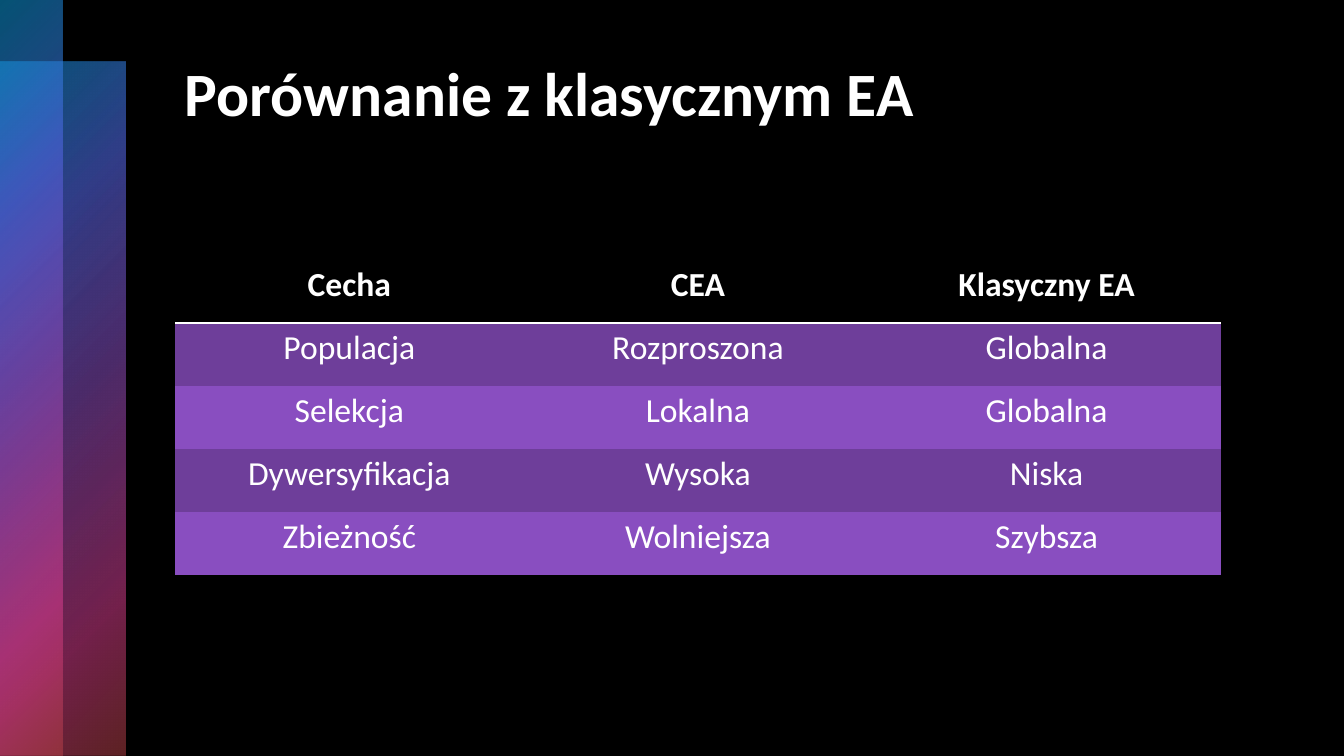
from dataclasses import dataclass

from lxml.etree import SubElement
from pptx import Presentation
from pptx.dml.color import RGBColor
from pptx.enum.shapes import MSO_SHAPE
from pptx.enum.text import MSO_ANCHOR, PP_ALIGN
from pptx.oxml import parse_xml
from pptx.oxml.ns import nsdecls, qn
from pptx.slide import Slide
from pptx.text.text import TextFrame
from pptx.util import Emu, Pt

EMU_PER_PX = 914400 / 100.8
FONT = "Calibri"
WHITE = "FFFFFF"
BLACK = "000000"
DARK_VIOLET = "6E3E9A"
VIOLET = "894EC0"
PLAIN_TABLE_STYLE = "{2D5ABB26-0587-4C30-8999-92F81FD0307C}"

ROWS = [
    ("Cecha", "CEA", "Klasyczny EA"),
    ("Populacja", "Rozproszona", "Globalna"),
    ("Selekcja", "Lokalna", "Globalna"),
    ("Dywersyfikacja", "Wysoka", "Niska"),
    ("Zbieżność", "Wolniejsza", "Szybsza"),
]


@dataclass(frozen=True)
class Box:
    left: int
    top: int
    width: int
    height: int

    def emu(self) -> tuple[Emu, Emu, Emu, Emu]:
        return px(self.left), px(self.top), px(self.width), px(self.height)


@dataclass(frozen=True)
class GradientStop:
    position: int
    color: str
    opacity: int


@dataclass(frozen=True)
class Band:
    box: Box
    middle: int


BANDS = [
    Band(Box(0, 62, 126, 694), middle=50),
    Band(Box(0, 0, 63, 756), middle=49),
]
TITLE_BOX = Box(175, 50, 1045, 171)
TABLE_BOX = Box(175, 260, 1046, 315)


def px(length: int) -> Emu:
    return Emu(round(length * EMU_PER_PX))


def rgb(color: str) -> RGBColor:
    return RGBColor.from_string(color)


def write_text(
    frame: TextFrame,
    text: str,
    *,
    size: int,
    bold: bool = False,
    color: str = WHITE,
    align: PP_ALIGN = PP_ALIGN.LEFT,
) -> None:
    paragraph = frame.paragraphs[0]
    paragraph.alignment = align
    run = paragraph.add_run()
    run.text = text
    run.font.name = FONT
    run.font.size = Pt(size)
    run.font.bold = bold
    run.font.color.rgb = rgb(color)


def add_band(slide: Slide, band: Band) -> None:
    shape = slide.shapes.add_shape(MSO_SHAPE.RECTANGLE, *band.box.emu())
    shape.shadow.inherit = False
    shape.line.fill.background()
    stops = [
        GradientStop(0, "0BA5E8", 50),
        GradientStop(25, "5066E1", 60),
        GradientStop(band.middle, VIOLET, 55),
        GradientStop(81, "E54196", 50),
        GradientStop(99, "BE4449", 50),
    ]
    gradient = parse_xml(
        f'<a:gradFill {nsdecls("a")} rotWithShape="1"><a:gsLst/>'
        '<a:path path="circle"><a:fillToRect r="100000" b="100000"/></a:path>'
        "</a:gradFill>"
    )
    for stop in stops:
        entry = SubElement(gradient[0], qn("a:gs"), pos=str(stop.position * 1000))
        color = SubElement(entry, qn("a:srgbClr"), val=stop.color)
        SubElement(color, qn("a:alpha"), val=str(stop.opacity * 1000))
    shape._element.spPr.find(qn("a:prstGeom")).addnext(gradient)


def add_title(slide: Slide, text: str) -> None:
    frame = slide.shapes.add_textbox(*TITLE_BOX.emu()).text_frame
    frame.word_wrap = True
    frame.vertical_anchor = MSO_ANCHOR.TOP
    write_text(frame, text, size=44, bold=True)


def add_comparison(slide: Slide) -> None:
    table = slide.shapes.add_table(len(ROWS), len(ROWS[0]), *TABLE_BOX.emu()).table
    table.horz_banding = False
    table._tbl.tblPr.find(qn("a:tableStyleId")).text = PLAIN_TABLE_STYLE
    for row_index, row in enumerate(ROWS):
        is_header = row_index == 0
        banding = DARK_VIOLET if row_index % 2 else VIOLET
        for column_index, text in enumerate(row):
            cell = table.cell(row_index, column_index)
            cell.fill.solid()
            cell.fill.fore_color.rgb = rgb(BLACK if is_header else banding)
            write_text(
                cell.text_frame, text, size=24, bold=is_header, align=PP_ALIGN.CENTER
            )
            if is_header:
                border = parse_xml(
                    f'<a:lnB {nsdecls("a")} w="{Pt(2)}"><a:solidFill>'
                    f'<a:srgbClr val="{WHITE}"/></a:solidFill></a:lnB>'
                )
                cell._tc.get_or_add_tcPr().insert(0, border)


def main() -> None:
    presentation = Presentation()
    presentation.slide_width = px(1344)
    presentation.slide_height = px(756)
    slide = presentation.slides.add_slide(presentation.slide_layouts[6])
    slide.background.fill.solid()
    slide.background.fill.fore_color.rgb = rgb(BLACK)
    for band in BANDS:
        add_band(slide, band)
    add_title(slide, "Porównanie z klasycznym EA")
    add_comparison(slide)
    presentation.save("out.pptx")


if __name__ == "__main__":
    main()
